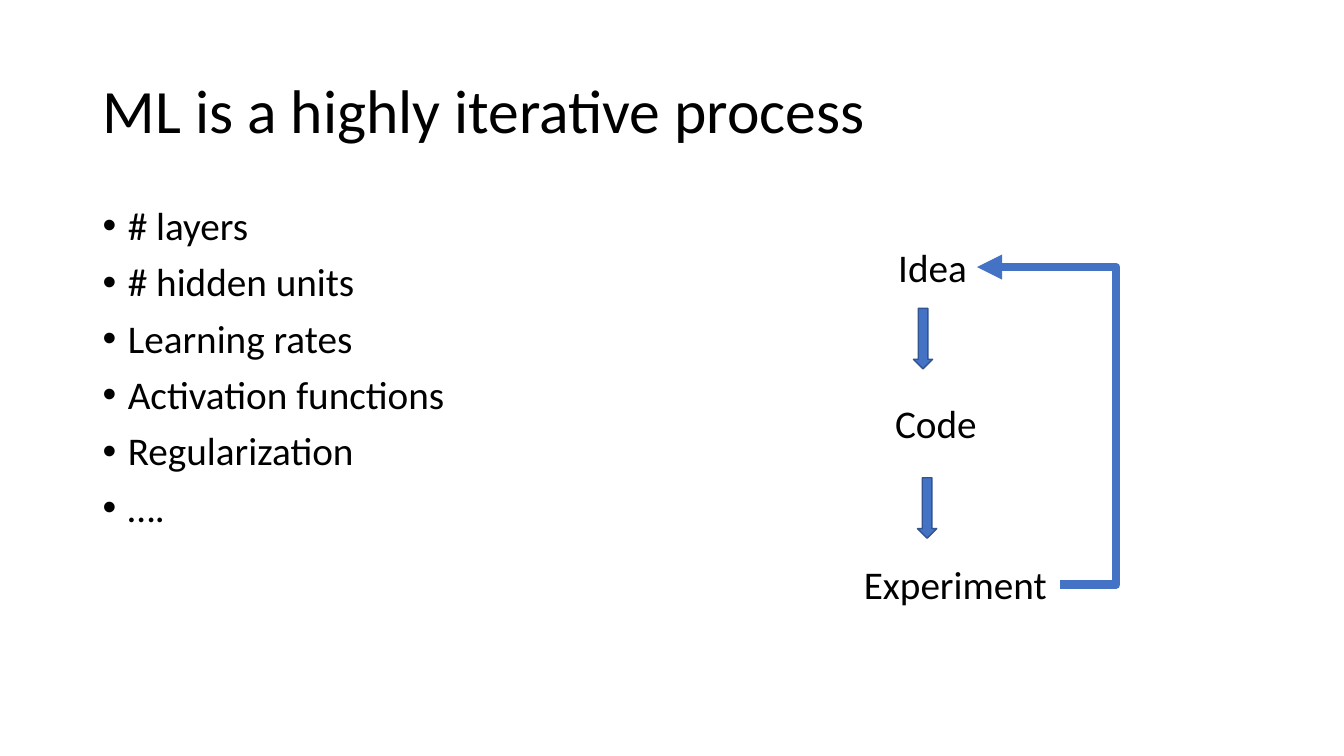
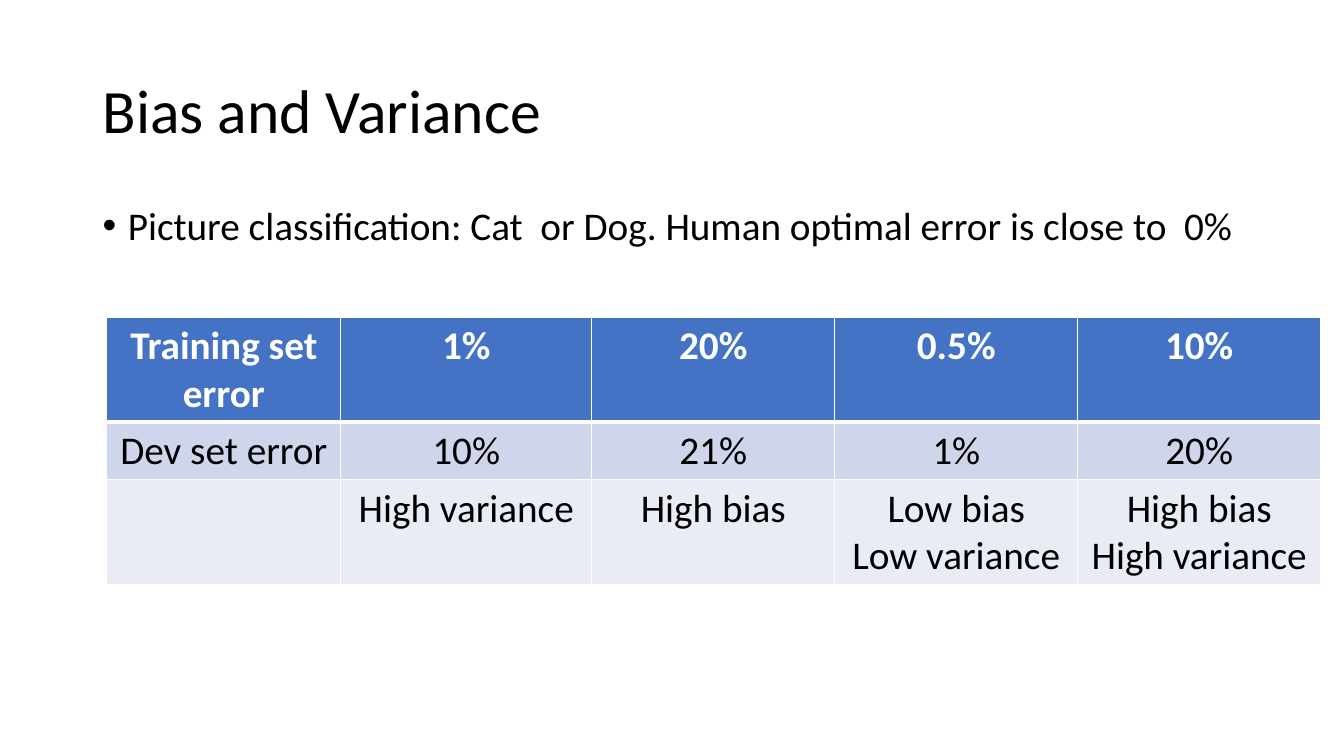
from pptx import Presentation
from pptx.dml.color import RGBColor
from pptx.enum.shapes import MSO_CONNECTOR, MSO_SHAPE
from pptx.enum.text import MSO_ANCHOR, MSO_AUTO_SIZE, PP_ALIGN
from pptx.oxml import parse_xml
from pptx.oxml.ns import nsdecls, qn
from pptx.util import Inches, Pt

FONT = "Calibri"
BLACK, WHITE, BLUE, EDGE = "000000", "FFFFFF", "4472C4", "325491"
SIZE = 28
LEFT, WIDE = 0.92, 11.5

TUNING = ["# layers", "# hidden units", "Learning rates",
          "Activation functions", "Regularization", "…."]
STEPS = [("Idea", 8.81, 2.36, 0.89), ("Code", 8.78, 3.91, 1.02),
         ("Experiment", 8.47, 5.51, 2.03)]
ARROWS = [(9.06, 3.06), (9.1, 4.74)]
LOOP = (10.51, 5.8, 9.69, 2.65)
BEND = -68500

CLAIM = ["Picture classification: Cat  or Dog. Human optimal error is close to  0%"]
ERRORS = [
    ["Training set error", "1%", "20%", "0.5%", "10%"],
    ["Dev set error", "10%", "21%", "1%", "20%"],
    ["", "High variance", "High bias", "Low bias\nLow variance",
     "High bias\nHigh variance"],
]
COLS = [2.32, 2.49, 2.41, 2.41, 2.41]
ROWS = [1.04, 0.57, 1.04]
FILLS = [BLUE, "CFD5EA", "E9EBF5"]
RULES = [1, 3, 1, 1]


def color(code):
    return RGBColor.from_string(code)


def xml(tag, body="", attrs=""):
    return parse_xml(f"<a:{tag} {nsdecls('a')} {attrs}>{body}</a:{tag}>")


def write(frame, lines, size=SIZE, ink=BLACK, bold=False, align=PP_ALIGN.LEFT,
          space=1, gap=0, bullet=False):
    for i, line in enumerate(lines):
        para = frame.add_paragraph() if i else frame.paragraphs[0]
        if bullet:
            props = para._p.get_or_add_pPr()
            props.set("marL", str(Inches(0.25)))
            props.set("indent", str(-Inches(0.25)))
            props.append(xml("buFont", attrs='typeface="Arial"'))
            props.append(xml("buChar", attrs='char="•"'))
        para.alignment = align
        para.line_spacing = space
        if i and gap:
            para.space_before = Pt(gap)
        run = para.add_run()
        run.text = line
        font = run.font
        font.name, font.size, font.bold = FONT, Pt(size), bold
        font.color.rgb = color(ink)


def box(slide, lines, place, wrap=True, anchor=MSO_ANCHOR.TOP, **style):
    frame = slide.shapes.add_textbox(*map(Inches, place)).text_frame
    frame.word_wrap = wrap
    frame.auto_size = MSO_AUTO_SIZE.NONE if wrap else MSO_AUTO_SIZE.SHAPE_TO_FIT_TEXT
    frame.vertical_anchor = anchor
    write(frame, lines, **style)


def page(deck, title, points, width, height):
    slide = deck.slides.add_slide(deck.slide_layouts[6])
    box(slide, [title], (LEFT, 0.4, WIDE, 1.45), anchor=MSO_ANCHOR.MIDDLE,
        size=44, space=0.9)
    box(slide, points, (LEFT, 2, width, height), space=0.9, gap=10, bullet=True)
    return slide


def cycle(slide):
    for name, left, top, width in STEPS:
        box(slide, [name], (left, top, width, 0.57), wrap=False)
    for left, top in ARROWS:
        arrow = slide.shapes.add_shape(
            MSO_SHAPE.DOWN_ARROW, *map(Inches, (left, top, 0.19, 0.6)))
        arrow.shadow.inherit = False
        arrow.fill.solid()
        arrow.fill.fore_color.rgb = color(BLUE)
        arrow.line.color.rgb = color(EDGE)
        arrow.line.width = Pt(1)
    loop = slide.shapes.add_connector(MSO_CONNECTOR.ELBOW, *map(Inches, LOOP))
    loop.line.color.rgb = color(BLUE)
    loop.line.width = Pt(6)
    loop.line._get_or_add_ln().append(xml("tailEnd", attrs='type="triangle"'))
    props = loop._element.spPr
    props.append(xml("effectLst"))
    shape = props.find(qn("a:prstGeom"))
    shape.get_or_add_avLst().append(
        xml("gd", attrs=f'name="adj1" fmla="val {BEND}"'))


def border(cell, row):
    props = cell._tc.get_or_add_tcPr()
    fill = f'<a:solidFill><a:srgbClr val="{WHITE}"/></a:solidFill>'
    sides = {"lnL": 1, "lnR": 1, "lnT": RULES[row], "lnB": RULES[row + 1]}
    for side, width in sides.items():
        props.append(xml(side, fill, f'w="{Pt(width)}"'))


def grid(slide):
    place = (1.06, 3.15, sum(COLS), sum(ROWS))
    table = slide.shapes.add_table(
        len(ROWS), len(COLS), *map(Inches, place)).table
    table.horz_banding = False
    for col, width in zip(table.columns, COLS):
        col.width = Inches(width)
    for r, texts in enumerate(ERRORS):
        table.rows[r].height = Inches(ROWS[r])
        for c, text in enumerate(texts):
            cell = table.cell(r, c)
            border(cell, r)
            cell.fill.solid()
            cell.fill.fore_color.rgb = color(FILLS[r])
            if text:
                write(cell.text_frame, text.split("\n"), bold=r == 0,
                      ink=BLACK if r else WHITE, align=PP_ALIGN.CENTER)


def main():
    deck = Presentation()
    deck.slide_width, deck.slide_height = Inches(13.33), Inches(7.5)
    cycle(page(deck, "ML is a highly iterative process", TUNING, 4.97, 4.76))
    grid(page(deck, "Bias and Variance", CLAIM, WIDE, 0.72))
    deck.save("out.pptx")


if __name__ == "__main__":
    main()
